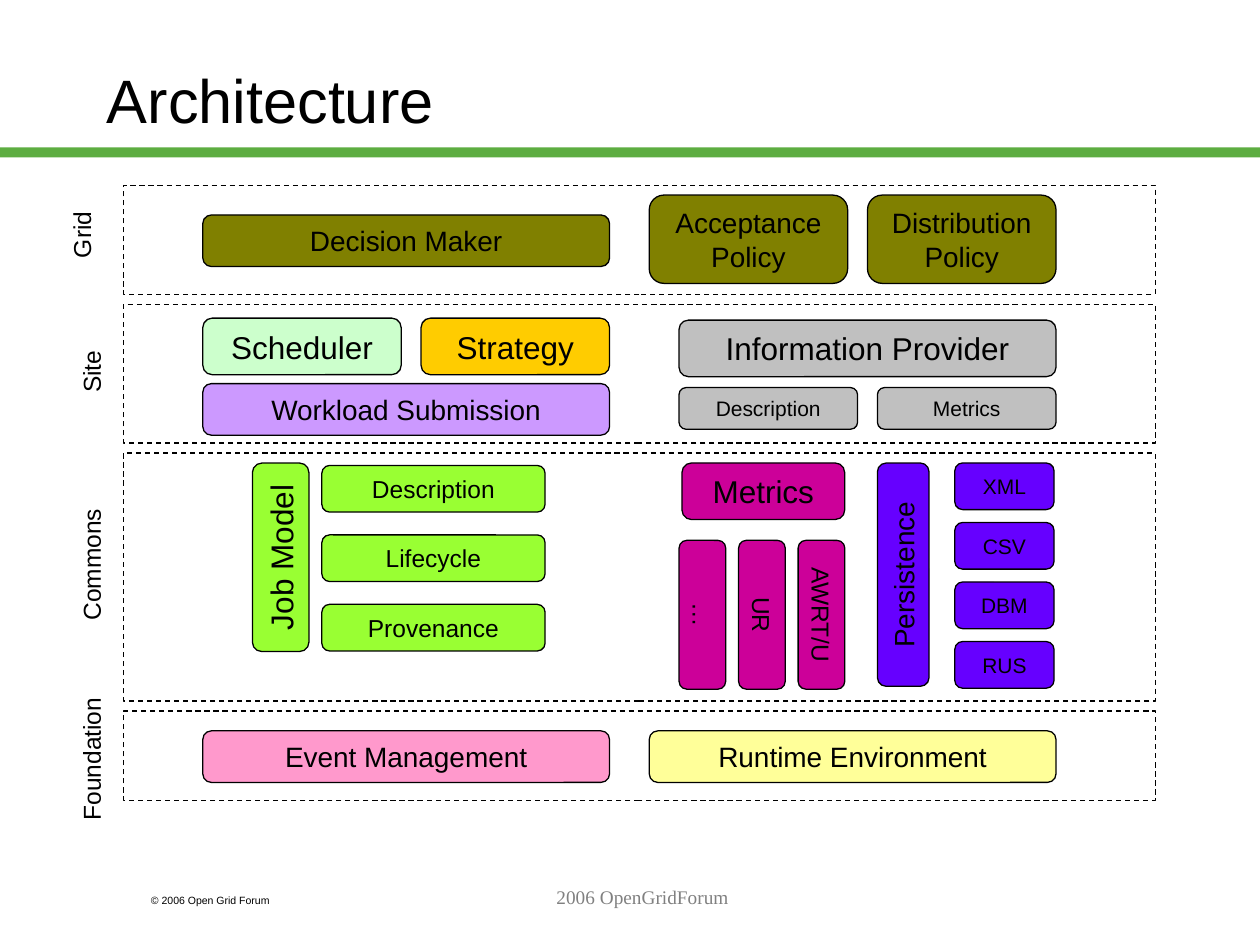
from dataclasses import dataclass

from pptx import Presentation, util as u
from pptx.dml.color import RGBColor
from pptx.enum import dml, shapes, text

COLORS = {
    "black": "000000", "rule": "5DAD41", "footer": "808080",
    "olive": "808000", "mint": "CCFFCC", "amber": "FFCC00",
    "lilac": "CC99FF", "silver": "C0C0C0", "lime": "99FF33",
    "magenta": "CC0099", "violet": "6600FF", "pink": "FF99CC",
    "cream": "FFFF99",
}
UNIT = u.Mm(2)
LEFT, TOP = u.Inches(0.98), u.Inches(1.47)
FRAME_COLS = 104
TALL, MID, SLIM = 5.7, 5.2, 4.7


@dataclass
class Box:
    label: str
    col: float
    row: float
    cols: float
    rows: float
    color: str
    size: int
    turn: int = 0
    wrap: bool = True


@dataclass
class Layer:
    label: str
    row: float
    rows: float
    label_col: float
    label_row: float
    label_rows: float


@dataclass
class Caption:
    label: str
    x: float
    y: float
    w: float
    h: float
    size: int
    font: str = "Arial"
    color: str = "black"
    align: text.PP_ALIGN = text.PP_ALIGN.LEFT
    anchor: text.MSO_ANCHOR = text.MSO_ANCHOR.TOP


LAYERS = [
    Layer("Grid", 0, 11, -7, 2, 6),
    Layer("Site", 12, 14, -6, 16, 5.6),
    Layer("Commons", 27, 25, -6, 32, 12.5),
    Layer("Foundation", 53, 9, -6, 51, 13.7),
]

BOXES = [
    Box("Decision Maker", 8, 3, 41, MID, "olive", 16),
    Box("Acceptance\vPolicy", 53, 1, 20, 8.9, "olive", 16),
    Box("Distribution\vPolicy", 75, 1, 19, 8.9, "olive", 16),
    Box("Scheduler", 8, 13.4, 20, TALL, "mint", 18),
    Box("Strategy", 30, 13.4, 19, TALL, "amber", 18),
    Box("Workload Submission", 8, 20, 41, MID, "lilac", 16),
    Box("Information Provider", 56, 13.6, 38, TALL, "silver", 18),
    Box("Description", 56, 20.4, 18, 4.2, "silver", 12),
    Box("Metrics", 76, 20.4, 18, 4.2, "silver", 12),
    Box("Job Model", 13, 28, TALL, 19, "lime", 18, 270),
    Box("Metrics", 56.3, 28, 16.4, TALL, "magenta", 18),
    Box("Persistence", 76, 28, MID, 22.5, "violet", 16, 270),
    Box("Event Management", 8, 55, 41, MID, "pink", 16),
    Box("Runtime Environment", 53, 55, 41, MID, "cream", 16),
]
BOXES += [Box(name, 20, 28.25 + 7 * i, 22.5, SLIM, "lime", 14)
          for i, name in enumerate(["Description", "Lifecycle", "Provenance"])]
BOXES += [Box(name, 56 + 6 * i, 35.8, SLIM, 15, "magenta", 14, 90)
          for i, name in enumerate(["…", "UR", "AWRT/U"])]
BOXES += [Box(name, 83.8, 28 + 6 * i, 10, SLIM, "violet", 12, wrap=False)
          for i, name in enumerate(["XML", "CSV", "DBM", "RUS"])]

CAPTIONS = [
    Caption("Architecture", 0.075, 0.02, 0.85, 0.17, 35,
            anchor=text.MSO_ANCHOR.MIDDLE),
    Caption("© 2006 Open Grid Forum", 0.11, 0.94, 0.15, 0.03, 6),
    Caption("2006 OpenGridForum", 0.22, 0.93, 0.58, 0.07, 11,
            "Times New Roman", "footer", text.PP_ALIGN.CENTER),
]


def rgb(name: str) -> RGBColor:
    return RGBColor.from_string(COLORS[name])


def place(col: float, row: float, cols: float, rows: float) -> list[int]:
    return [round(v) for v in (LEFT + col * UNIT, TOP + row * UNIT,
                               cols * UNIT, rows * UNIT)]


def write(s, label: str, size: int, align=text.PP_ALIGN.CENTER,
          anchor=text.MSO_ANCHOR.MIDDLE, wrap: bool = True,
          font: str = "Arial", color: str = "black") -> None:
    tf = s.text_frame
    for key, value in {"word_wrap": wrap, "vertical_anchor": anchor}.items():
        setattr(tf, key, value)
    p = tf.paragraphs[0]
    p.text = label
    p.alignment = align
    for r in p.runs:
        for key, value in {"name": font, "size": u.Pt(size)}.items():
            setattr(r.font, key, value)
        r.font.color.rgb = rgb(color)


def outline(s) -> None:
    s.shadow.inherit = False
    s.line.color.rgb = rgb("black")
    s.line.width = u.Pt(0.75)


def draw_box(sp, box: Box) -> None:
    x, y, w, h = place(box.col, box.row, box.cols, box.rows)
    if box.turn:
        x, y, w, h = x + (w - h) // 2, y + (h - w) // 2, h, w
    s = sp.add_shape(shapes.MSO_SHAPE.ROUNDED_RECTANGLE, x, y, w, h)
    s.rotation = box.turn
    outline(s)
    s.fill.solid()
    s.fill.fore_color.rgb = rgb(box.color)
    write(s, box.label, box.size, wrap=box.wrap)


def draw_layer(sp, layer: Layer) -> None:
    s = sp.add_shape(shapes.MSO_SHAPE.RECTANGLE,
                     *place(0, layer.row, FRAME_COLS, layer.rows))
    outline(s)
    s.fill.background()
    s.line.dash_style = dml.MSO_LINE.DASH
    s = sp.add_textbox(*place(layer.label_col, layer.label_row,
                              5.5, layer.label_rows))
    s.text_frame._txBody.bodyPr.set("vert", "vert270")
    write(s, layer.label, 14, wrap=False)


def draw_caption(sp, prs, c: Caption) -> None:
    s = sp.add_textbox(*(round(v) for v in (
        c.x * prs.slide_width, c.y * prs.slide_height,
        c.w * prs.slide_width, c.h * prs.slide_height)))
    write(s, c.label, c.size, c.align, c.anchor, font=c.font, color=c.color)


def main() -> None:
    prs = Presentation()
    prs.slide_width, prs.slide_height = u.Inches(10), u.Inches(7.5)
    sp = prs.slides.add_slide(prs.slide_layouts[6]).shapes
    rule = sp.add_shape(shapes.MSO_SHAPE.RECTANGLE, 0, u.Inches(1.17),
                        prs.slide_width, u.Inches(0.08))
    rule.shadow.inherit = False
    rule.fill.solid()
    rule.fill.fore_color.rgb = rgb("rule")
    rule.line.fill.background()
    for caption in CAPTIONS:
        draw_caption(sp, prs, caption)
    for box in BOXES:
        draw_box(sp, box)
    for layer in LAYERS:
        draw_layer(sp, layer)
    prs.save("out.pptx")


if __name__ == "__main__":
    main()
